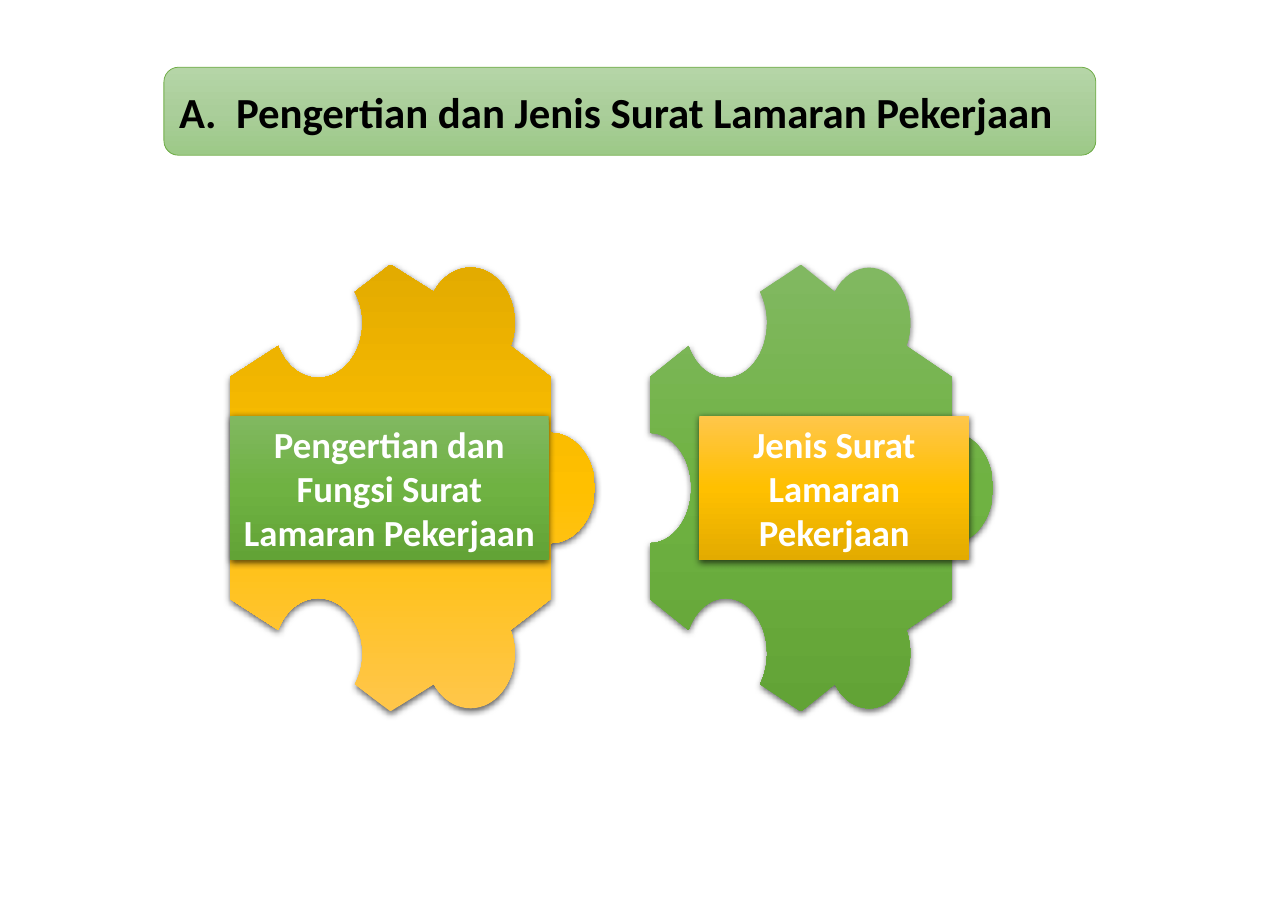
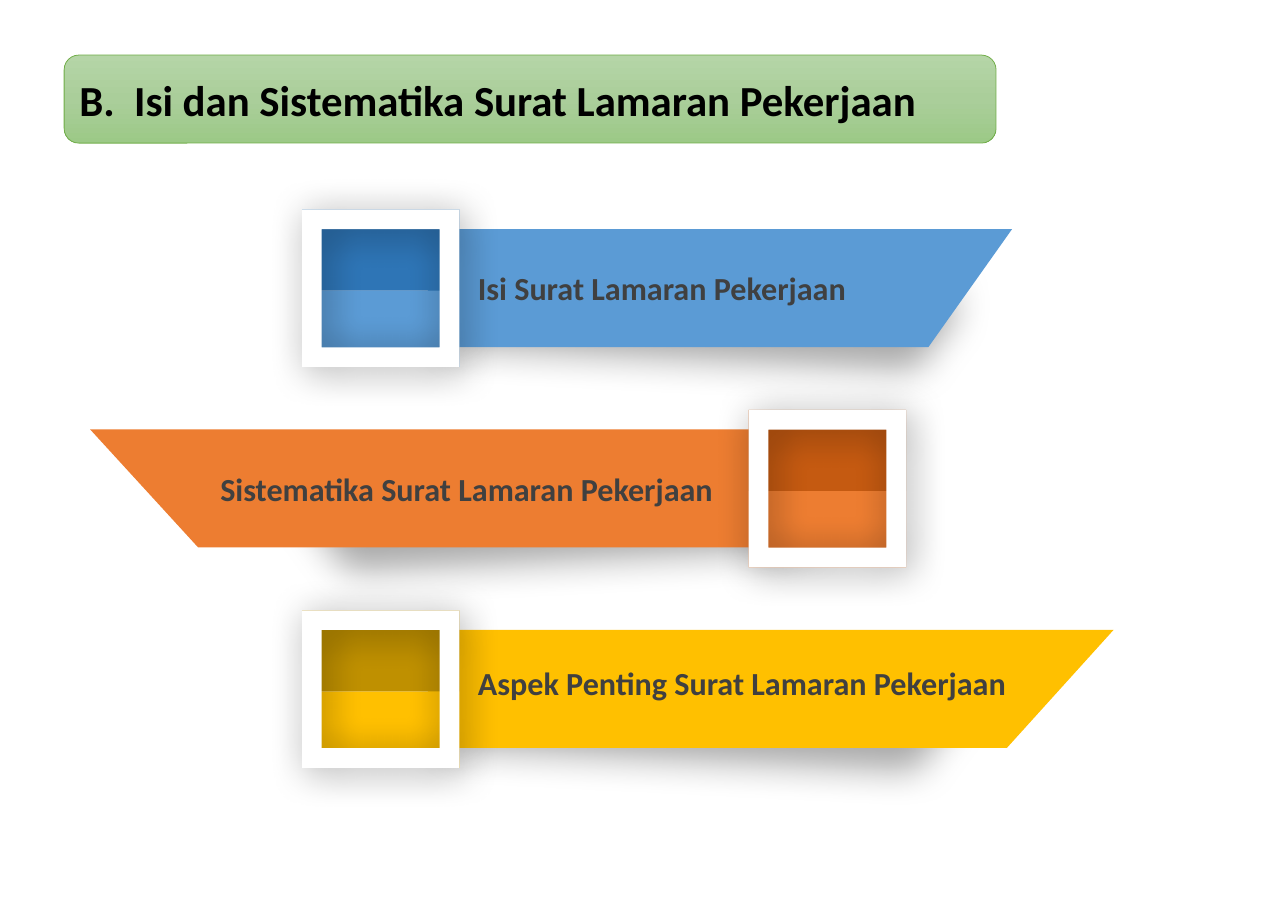
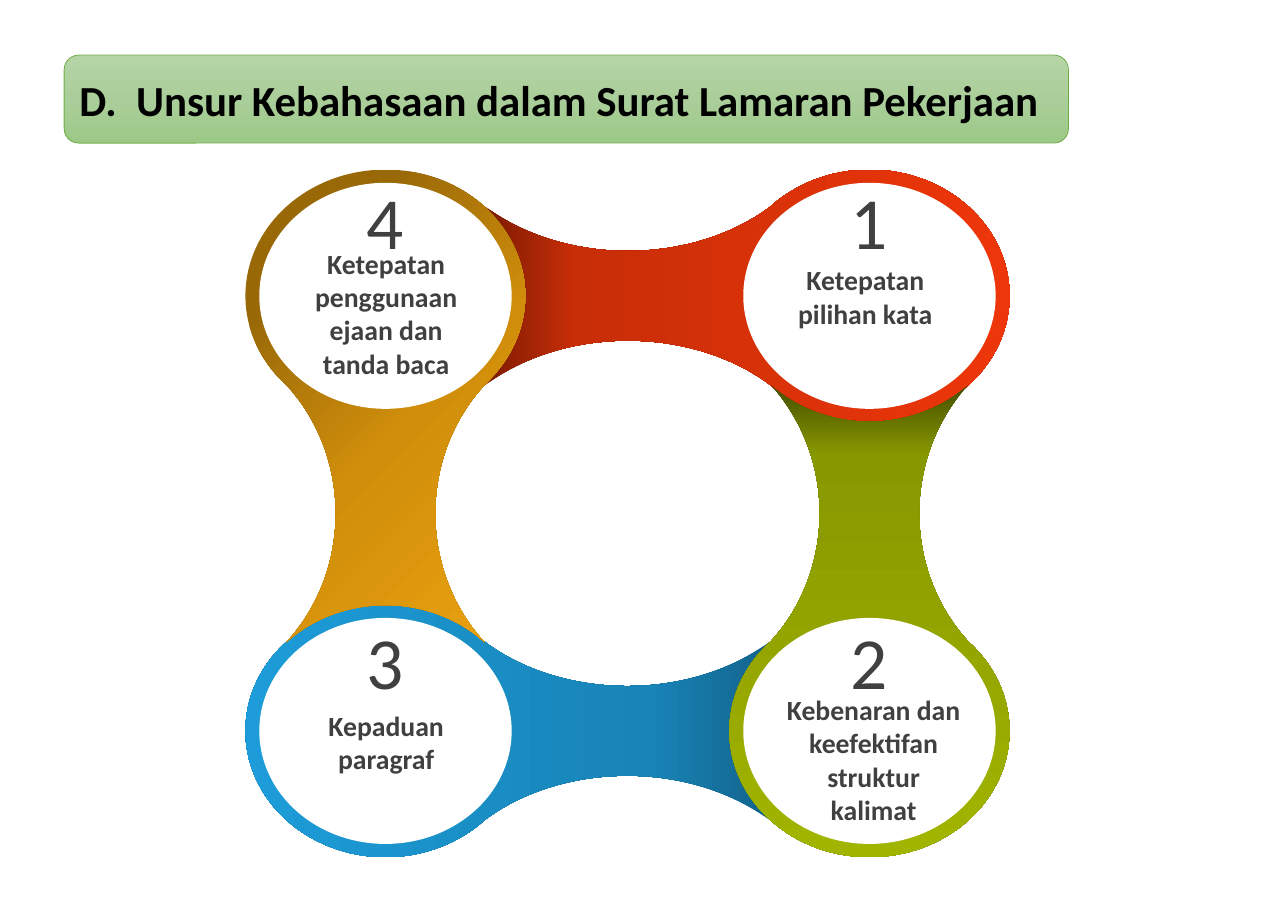
from math import cos, pi, radians, sin, sqrt, tan

from lxml.etree import SubElement
from pptx import Presentation
from pptx.dml.color import RGBColor
from pptx.enum.shapes import MSO_SHAPE as Preset
from pptx.enum.text import MSO_ANCHOR as Anchor, MSO_AUTO_SIZE as AutoSize, PP_ALIGN as Align
from pptx.oxml.ns import qn
from pptx.util import Cm, Pt

FONT = "Calibri"
WHITE = "FFFFFF"
TEXT = "404040"
TITLE_FILL = ([(0, "B5D5A7"), (50, "AACE9A"), (100, "9CC987")], 90)
TITLE_LINE = "70AD47"
GREEN_STOPS = [(0, "81B861"), (50, "6FB242"), (100, "62A336")]
GOLD_STOPS = [(0, "FFC64B"), (50, "FFC000"), (100, "E3AB00")]
SOFT_SHADOW = (63, 4.5, 1.5, 90)
RIBBON_SHADOW = (35, 25, 25, 45)
FRAME_SHADOW = (35, 25, 4, 45)

PUZZLE_AXIS = 11.25
RIBBON_HEIGHT = 2.72
FRAME_SIZE = 3.63
DISC_X, DISC_Y = 3.23, 2.91
RIGHT, DOWN, LEFT, UP = range(4)


def color(value):
    return RGBColor.from_string(value)


def paint(shape, fill):
    if isinstance(fill, str):
        shape.fill.solid()
        shape.fill.fore_color.rgb = color(fill)
        return
    stops, angle = fill
    shape.fill.gradient()
    shape.fill.gradient_angle = -angle % 360
    stop_list = shape._element.spPr.find(qn("a:gradFill")).find(qn("a:gsLst"))
    for stop in list(stop_list):
        stop_list.remove(stop)
    for position, value in stops:
        stop = SubElement(stop_list, qn("a:gs"), pos=str(position * 1000))
        SubElement(stop, qn("a:srgbClr"), val=value)


def cast_shadow(shape, shadow):
    shape.shadow.inherit = False
    if shadow is None:
        return
    opacity, blur, distance, angle = shadow
    effects = shape._element.spPr.find(qn("a:effectLst"))
    outer = SubElement(effects, qn("a:outerShdw"), blurRad=str(Pt(blur)), dist=str(Pt(distance)),
                       dir=str(angle * 60000), algn="ctr", rotWithShape="0")
    black = SubElement(outer, qn("a:srgbClr"), val="000000")
    SubElement(black, qn("a:alpha"), val=str(opacity * 1000))


def finish(shape, fill, shadow=None):
    paint(shape, fill)
    shape.line.fill.background()
    cast_shadow(shape, shadow)
    return shape


def add_preset(slide, preset, left, top, width, height, fill, shadow=None):
    shape = slide.shapes.add_shape(preset, Cm(left), Cm(top), Cm(width), Cm(height))
    return finish(shape, fill, shadow)


def corners(*points):
    return [(point,) for point in points]


def arc(center_x, center_y, radius_x, radius_y, start, end):
    def place(x, y):
        return center_x + radius_x * x, center_y + radius_y * y

    low, high = sorted((start, end))
    stops = [low, *(turn for turn in range(-360, 721, 90) if low < turn < high), high]
    if start > end:
        stops.reverse()
    steps = corners(place(cos(radians(start)), sin(radians(start))))
    for first, last in zip(stops, stops[1:]):
        a, b = radians(first), radians(last)
        pull = 4 / 3 * tan((b - a) / 4)
        steps.append((place(cos(a) - pull * sin(a), sin(a) + pull * cos(a)),
                      place(cos(b) + pull * sin(b), sin(b) - pull * cos(b)),
                      place(cos(b), sin(b))))
    return steps


def transform(steps, move):
    return [tuple(move(x, y) for x, y in step) for step in steps]


def backwards(steps):
    result = corners(steps[-1][-1])
    for before, step in reversed(list(zip(steps, steps[1:]))):
        result.append(step[-2::-1] + before[-1:])
    return result


def add_outline(slide, steps, fill, shadow=None):
    points = [(Cm(x), Cm(y)) for step in steps for x, y in step]
    builder = slide.shapes.build_freeform(*points[0])
    builder.add_line_segments(points[1:], close=True)
    shape = builder.convert_to_shape()
    lines = iter(list(shape._element.spPr.iter(qn("a:lnTo"))))
    for step in steps[1:]:
        parts = [next(lines) for _ in step]
        if len(parts) == 3:
            outline = parts[0].getparent()
            curve = SubElement(outline, qn("a:cubicBezTo"))
            outline.replace(parts[0], curve)
            for part in parts:
                curve.append(part[0])
            for part in parts[1:]:
                outline.remove(part)
    return finish(shape, fill, shadow)


def write(shape, text, size, value, bold=True, align=Align.CENTER, anchor=Anchor.MIDDLE):
    frame = shape.text_frame
    frame.word_wrap = True
    frame.auto_size = AutoSize.NONE
    frame.vertical_anchor = anchor
    frame.text = text
    paragraph = frame.paragraphs[0]
    paragraph.alignment = align
    font = paragraph.font
    font.name, font.size, font.bold = FONT, Pt(size), bold
    font.color.rgb = color(value)


def add_text(slide, left, top, width, height, text, size, **style):
    box = slide.shapes.add_textbox(Cm(left), Cm(top), Cm(width), Cm(height))
    write(box, text, size, TEXT, **style)
    return box


def add_titled_slide(presentation, text, left=1.48, top=1.27, width=21.49):
    slide = presentation.slides.add_slide(presentation.slide_layouts[5])
    title = slide.shapes.title
    band = add_preset(slide, Preset.ROUNDED_RECTANGLE, left, top, width, 2.03, TITLE_FILL)
    band.line.color.rgb = color(TITLE_LINE)
    band.line.width = Pt(0.5)
    title._element.addprevious(band._element)
    title.left, title.top, title.width, title.height = band.left, band.top, band.width, band.height
    write(title, text, 28, "000000", align=Align.LEFT)
    title.text_frame.margin_left = title.text_frame.margin_right = Cm(0.35)
    return slide


def add_puzzle_piece(slide, left, right, notch, knob, radius, fill, left_notch=False):
    tab_y, corner_y, tab_radius = 7.44, 8.69, 1.27
    upper = arc(left, PUZZLE_AXIS, radius, tab_radius, 0, -90) if left_notch else []
    upper += corners((left, corner_y))
    upper += arc(notch, tab_y, radius, tab_radius, 155, -34)
    upper += corners(((left + right) / 2, 6.1))
    upper += arc(knob, tab_y, radius, tab_radius, 214, 385)
    upper += corners((right, corner_y))
    upper += arc(right, PUZZLE_AXIS, radius, tab_radius, 270, 360)
    lower = transform(backwards(upper), lambda x, y: (x, 2 * PUZZLE_AXIS - y))
    add_outline(slide, upper + lower[1:], fill, SOFT_SHADOW)


def add_caption(slide, left, width, text, fill):
    box = add_preset(slide, Preset.RECTANGLE, left, 9.58, width, 3.33, fill, SOFT_SHADOW)
    write(box, text, 24, WHITE)


def add_ribbon(slide, top, start, tip, foot, light, dark):
    side = 1 if tip > start else -1
    bottom = top + RIBBON_HEIGHT
    underside = corners((0, 0.35), (11.48, 0.85), (11.46, 1.36), (10.54, 2.62), (-0.1, 2.1))
    add_outline(slide, transform(underside, lambda x, y: (start + side * x, top + y)),
                light, RIBBON_SHADOW)
    add_outline(slide, corners((start, top), (tip, top), (foot, bottom), (start, bottom)), light)

    left = start - side * 1.15 - FRAME_SIZE / 2
    frame_top = top - 0.45
    dark_height = 1.87
    add_preset(slide, Preset.RECTANGLE, left, frame_top + dark_height,
               FRAME_SIZE, FRAME_SIZE - dark_height, light)
    add_preset(slide, Preset.RECTANGLE, left, frame_top, FRAME_SIZE, dark_height, dark)
    add_preset(slide, Preset.FRAME, left, frame_top, FRAME_SIZE, FRAME_SIZE, WHITE, FRAME_SHADOW)


def add_link(slide, center_x, center_y, direction, fill):
    reach = 3.45
    bend_x, bend_y = 1.44, 1.2
    bend_center = (1 + bend_y) / sqrt(2)
    outline = arc(0, 0, 1, 1, 45, 315)
    outline += arc(reach / 2, -bend_center, bend_x, bend_y, 135, 45)[1:]
    outline += arc(reach, 0, 1, 1, 225, 135)
    outline += arc(reach / 2, bend_center, bend_x, bend_y, -45, -135)[1:]
    turn = direction * pi / 2

    def place(x, y):
        return (center_x + DISC_X * (x * cos(turn) - y * sin(turn)),
                center_y + DISC_Y * (x * sin(turn) + y * cos(turn)))

    add_outline(slide, transform(outline, place), fill)


def build_types(presentation):
    slide = add_titled_slide(presentation, "A.  Pengertian dan Jenis Surat Lamaran Pekerjaan",
                             left=3.78, top=1.55)
    add_puzzle_piece(slide, 5.31, 12.7, 7.34, 10.85, 1.02, (GOLD_STOPS, 270))
    add_puzzle_piece(slide, 14.99, 21.95, 16.74, 20.04, 0.95, (GREEN_STOPS, 90), left_notch=True)
    add_caption(slide, 5.31, 7.34, "Pengertian dan Fungsi Surat Lamaran Pekerjaan",
                (GREEN_STOPS, 90))
    add_caption(slide, 16.13, 6.22, "Jenis Surat Lamaran Pekerjaan", (GOLD_STOPS, 90))


def build_contents(presentation):
    slide = add_titled_slide(presentation, "B.  Isi dan Sistematika Surat Lamaran Pekerjaan")
    ribbons = [
        (9.93, 23.34, 21.41, "5B9BD5", "2E75B6"),
        (17.93, 2.08, 4.57, "ED7D31", "C55A11"),
        (9.93, 25.68, 23.22, "FFC000", "BF9000"),
    ]
    for row, ribbon in enumerate(ribbons):
        add_ribbon(slide, 5.28 + 4.62 * row, *ribbon)
    labels = [
        (11.02, 6.07, 10.36, "Isi Surat Lamaran Pekerjaan"),
        (5.08, 10.69, 11.79, "Sistematika Surat Lamaran Pekerjaan"),
        (11.02, 15.16, 12.8, "Aspek Penting Surat Lamaran Pekerjaan"),
    ]
    for left, top, width, text in labels:
        box = add_text(slide, left, top, width, 1.14, text, 21, align=Align.LEFT)
        box.text_frame.margin_left = 0


def build_language(presentation):
    slide = add_titled_slide(presentation, "D.  Unsur Kebahasaan dalam Surat Lamaran Pekerjaan",
                             width=23.16)
    west, east, north, south = 8.89, 20.05, 6.82, 16.85
    blue = ([(0, "12648C"), (23, "1884B7"), (100, "1D9CD9")], 180)
    orange = ([(20, "996908"), (55, "D08E0B"), (100, "EAA20F")], 45)
    red = ([(0, "7C1A02"), (17, "C82E08"), (100, "ED3609")], 0)
    green = ([(0, "454E00"), (15, "889800"), (100, "A1B400")], 90)
    links = [
        (west, south, RIGHT, blue),
        (west, north, DOWN, orange),
        (east, north, LEFT, red),
        (east, south, UP, green),
    ]
    disc_width, disc_height = 5.82, 5.21
    for link in links:
        add_link(slide, *link)
    for x, y, *_ in links:
        add_preset(slide, Preset.OVAL, x - disc_width / 2, y - disc_height / 2,
                   disc_width, disc_height, WHITE)
    labels = [
        ("1", east, 3.91, "Ketepatan pilihan kata", 17.86, 5.94, 4.19, 1.8),
        ("2", east, 14.07, "Kebenaran dan keefektifan struktur kalimat", 17.86, 15.85, 4.57, 3.35),
        ("3", west, 14.07, "Kepaduan paragraf", 6.81, 16.21, 4.19, 1.8),
        ("4", west, 3.91, "Ketepatan penggunaan ejaan dan tanda baca", 6.81, 5.56, 4.19, 3.35),
    ]
    for number, x, number_top, text, left, top, width, height in labels:
        add_text(slide, left, top, width, height, text, 18.1, anchor=Anchor.TOP)
        add_text(slide, x - 0.88, number_top, 1.76, 2.31, number, 48, bold=False)


def main():
    presentation = Presentation()
    presentation.slide_width, presentation.slide_height = Cm(29.7), Cm(21)
    build_types(presentation)
    build_contents(presentation)
    build_language(presentation)
    presentation.save("out.pptx")


main()
